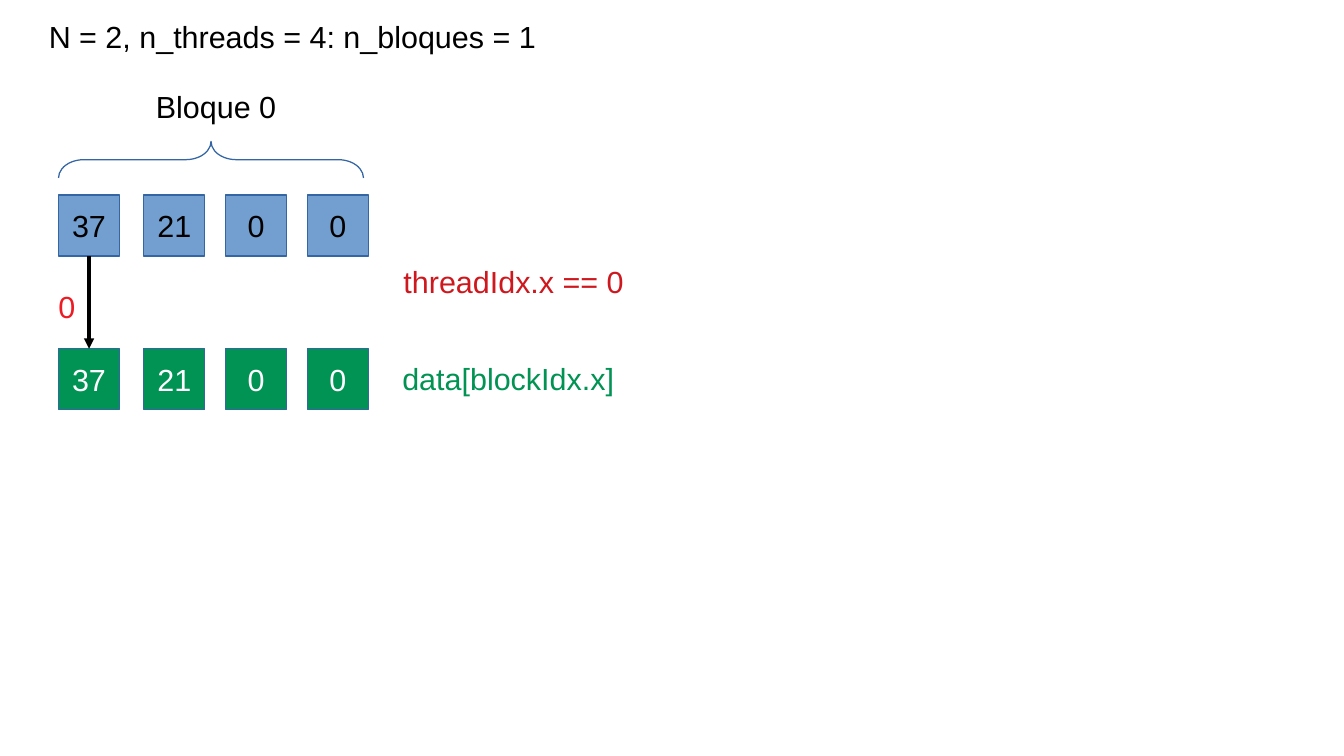
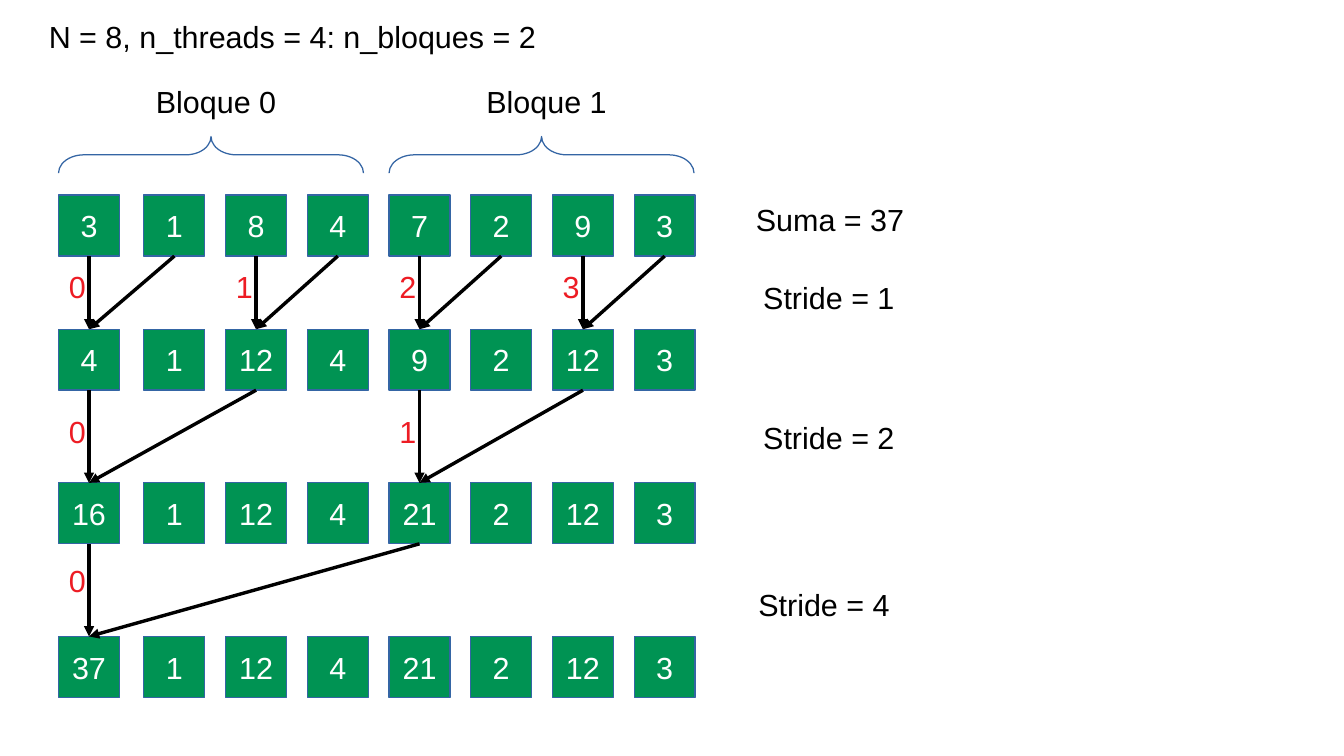
from dataclasses import dataclass

from lxml import etree
from pptx import Presentation
from pptx import util as u
from pptx.dml import color
from pptx.enum import shapes, text
from pptx.oxml import ns


@dataclass(frozen=True)
class Theme:
    font: str = "Arial"
    size: float = 18
    black: str = "000000"
    white: str = "FFFFFF"
    blue: str = "729FCF"
    green: str = "009353"
    outline: str = "3465A4"
    red: str = "ED1C24"
    dark_red: str = "CE181E"
    hairline: float = 0


THEME = Theme()
CELL = 36
COLUMNS = [34.56] + [84.96 + 48.24 * i for i in range(7)]
BLOCK_SIZE = 4
BRACE_W, BRACE_H = 180, 21.6
TOP_ROW = 115.2
BOTTOM, TOP = 2, 0


def rgb(value):
    return color.RGBColor.from_string(value)


def write(sp, content, ink=THEME.black, align=text.PP_ALIGN.LEFT,
          anchor=text.MSO_ANCHOR.TOP, wrap=True):
    tf = sp.text_frame
    tf.word_wrap = wrap
    tf.auto_size = text.MSO_AUTO_SIZE.NONE
    tf.vertical_anchor = anchor
    p = tf.paragraphs[0]
    p.alignment = align
    r = p.add_run()
    r.text = content
    r.font.name = THEME.font
    r.font.size = u.Pt(THEME.size)
    r.font.color.rgb = rgb(ink)


def set_line(sp, value):
    sp.line.color.rgb = rgb(value)
    sp.line.width = u.Pt(THEME.hairline)


def add_titled_slide(prs, title):
    s = prs.slides.add_slide(prs.slide_layouts[5])
    sp = s.shapes.title
    sp.left, sp.top, sp.width, sp.height = map(u.Pt, (21.6, 7.2, 320, 36))
    write(sp, title)
    return s


def add_label(s, content, x, y, w=130, **fmt):
    sp = s.shapes.add_textbox(u.Pt(x), u.Pt(y), u.Pt(w), u.Pt(28))
    write(sp, content, **fmt)


def add_cell(s, value, x, y, fill, ink):
    sp = s.shapes.add_shape(shapes.MSO_SHAPE.RECTANGLE,
                            u.Pt(x), u.Pt(y), u.Pt(CELL), u.Pt(CELL))
    sp.shadow.inherit = False
    sp.fill.solid()
    sp.fill.fore_color.rgb = rgb(fill)
    set_line(sp, THEME.outline)
    write(sp, str(value), ink=ink, align=text.PP_ALIGN.CENTER,
          anchor=text.MSO_ANCHOR.MIDDLE, wrap=False)
    return sp


def add_row(s, values, y, fill=THEME.green, ink=THEME.white):
    return [add_cell(s, v, x, y, fill, ink) for v, x in zip(values, COLUMNS)]


def add_block(s, index, y):
    x = COLUMNS[index * BLOCK_SIZE]
    sp = s.shapes.add_shape(
        shapes.MSO_SHAPE.LEFT_BRACE,
        u.Pt(x + (BRACE_W - BRACE_H) / 2), u.Pt(y - (BRACE_W - BRACE_H) / 2),
        u.Pt(BRACE_H), u.Pt(BRACE_W))
    sp.rotation = 90
    sp.adjustments[0] = 0.69
    sp.shadow.inherit = False
    sp.fill.background()
    set_line(sp, THEME.outline)
    add_label(s, f"Bloque {index}", x + 50.4, y - 35.28, w=94)


def add_arrow(s, source, target):
    cn = s.shapes.add_connector(shapes.MSO_CONNECTOR.STRAIGHT, 0, 0, 0, 0)
    cn.begin_connect(source, BOTTOM)
    cn.end_connect(target, TOP)
    set_line(cn, THEME.black)
    ln = cn.line._get_or_add_ln()
    etree.SubElement(ln, ns.qn("a:tailEnd"), type="triangle")
    etree.SubElement(cn._element.spPr, ns.qn("a:effectLst"))


def add_thread(s, index, x, y):
    add_label(s, str(index), x, y, w=50, ink=THEME.red)


def build_copy_slide(prs):
    s = add_titled_slide(prs, "N = 2, n_threads = 4: n_bloques = 1")
    add_block(s, 0, 83.5)
    values = [37, 21, 0, 0]
    shared = add_row(s, values, TOP_ROW, fill=THEME.blue, ink=THEME.black)
    data = add_row(s, values, 205.92)
    add_arrow(s, shared[0], data[0])
    add_thread(s, 0, 27.36, 166.32)
    add_label(s, "threadIdx.x == 0", 231.12, 151.92, w=209, ink=THEME.dark_red)
    add_label(s, "data[blockIdx.x]", 230.4, 208.8, w=209, ink=THEME.green)


def build_reduction_slide(prs):
    s = add_titled_slide(prs, "N = 8, n_threads = 4: n_bloques = 2")
    for block in range(2):
        add_block(s, block, 80.64)
    values = [3, 1, 8, 4, 7, 2, 9, 3]
    add_label(s, f"Suma = {sum(values)}", 439.2, TOP_ROW)
    row = add_row(s, values, TOP_ROW)
    steps = [
        (1, 194.4, 154.8, 443.52, 161.28),
        (2, 285.12, 240.48, 443.52, 244.08),
        (4, 375.84, 328.32, 440.64, 342.72),
    ]
    for stride, row_y, thread_y, stride_x, stride_y in steps:
        targets = range(0, len(values), 2 * stride)
        for col in targets:
            values[col] += values[col + stride]
        next_row = add_row(s, values, row_y)
        for thread, col in enumerate(targets):
            for source in (col, col + stride):
                add_arrow(s, row[source], next_row[col])
            add_thread(s, thread, COLUMNS[col] - 1, thread_y)
        add_label(s, f"Stride = {stride}", stride_x, stride_y)
        row = next_row


def main():
    prs = Presentation()
    prs.slide_width, prs.slide_height = u.Pt(793.44), u.Pt(446.4)
    build_copy_slide(prs)
    build_reduction_slide(prs)
    prs.save("out.pptx")


if __name__ == "__main__":
    main()
